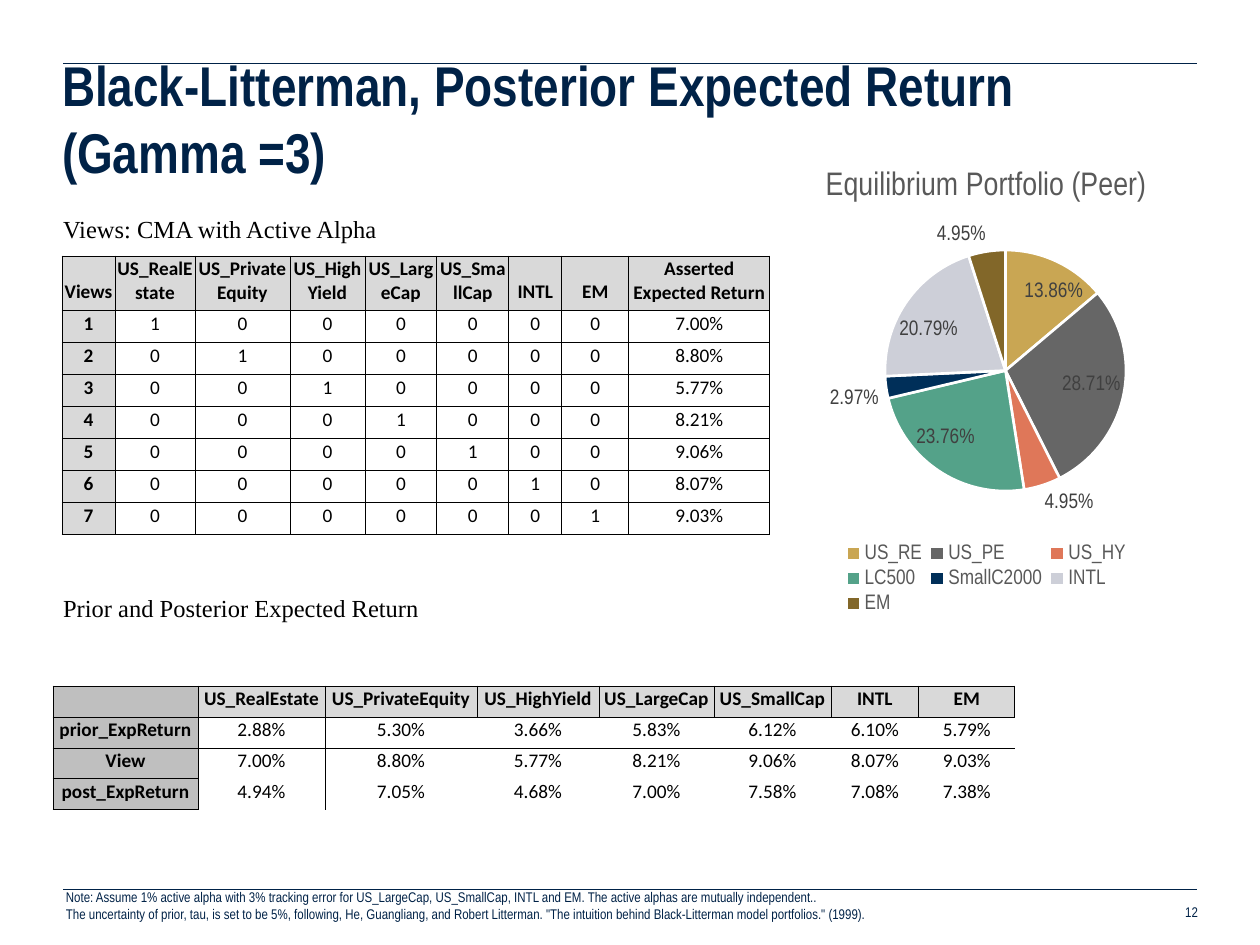
from lxml.etree import SubElement
from pptx import Presentation
from pptx.chart.data import CategoryChartData
from pptx.dml.color import RGBColor
from pptx.enum.chart import XL_CHART_TYPE, XL_LABEL_POSITION, XL_LEGEND_POSITION
from pptx.enum.shapes import MSO_CONNECTOR
from pptx.enum.text import MSO_ANCHOR, MSO_AUTO_SIZE, PP_ALIGN
from pptx.oxml.ns import qn
from pptx.util import Emu, Pt

NAVY = RGBColor(0x00, 0x22, 0x47)
BLACK = RGBColor(0x00, 0x00, 0x00)
WHITE = RGBColor(0xFF, 0xFF, 0xFF)
LIGHT_GRAY = RGBColor(0xD9, 0xD9, 0xD9)
MID_GRAY = RGBColor(0xBF, 0xBF, 0xBF)
LABEL_GRAY = RGBColor(0x40, 0x40, 0x40)
TEXT_GRAY = RGBColor(0x59, 0x59, 0x59)

NARROW, SERIF, SANS = "Arial Narrow", "Times New Roman", "Calibri"
NO_STYLE = "{2D5ABB26-0587-4C30-8999-92F81FD0307C}"

ASSETS = ["US_RealEstate", "US_PrivateEquity", "US_HighYield", "US_LargeCap",
          "US_SmallCap", "INTL", "EM"]
VIEW_RETURNS = ["7.00%", "8.80%", "5.77%", "8.21%", "9.06%", "8.07%", "9.03%"]
RETURN_ROWS = [
    [""] + ASSETS,
    ["prior_ExpReturn", "2.88%", "5.30%", "3.66%", "5.83%", "6.12%", "6.10%", "5.79%"],
    ["View"] + VIEW_RETURNS,
    ["post_ExpReturn", "4.94%", "7.05%", "4.68%", "7.00%", "7.58%", "7.08%", "7.38%"],
]
PORTFOLIO = [
    ("US_RE", 0.1386, RGBColor(0xC9, 0xA6, 0x53)),
    ("US_PE", 0.2871, RGBColor(0x66, 0x66, 0x66)),
    ("US_HY", 0.0495, RGBColor(0xDF, 0x77, 0x59)),
    ("LC500", 0.2376, RGBColor(0x54, 0xA2, 0x89)),
    ("SmallC2000", 0.0297, RGBColor(0x00, 0x2F, 0x59)),
    ("INTL", 0.2079, RGBColor(0xCD, 0xCF, 0xD8)),
    ("EM", 0.0495, RGBColor(0x82, 0x67, 0x29)),
]
NOTES = [
    "Note: Assume 1% active alpha with 3% tracking error for US_LargeCap, US_SmallCap, "
    "INTL and EM. The active alphas are mutually independent..",
    "The uncertainty of prior, tau, is set to be 5%, following, He, Guangliang, and Robert "
    "Litterman. \"The intuition behind Black-Litterman model portfolios.\" (1999).",
]


def px(n):
    return Emu(round(n * 914400 / 126))


def set_font(font, name, size, color, bold=False):
    font.name, font.size, font.bold = name, Pt(size), bold
    font.color.rgb = color


def add_run(p, text, *style):
    r = p.add_run()
    r.text = text
    set_font(r.font, *style)


def set_margins(tf, left, right):
    tf.margin_left, tf.margin_right = px(left), px(right)
    tf.margin_top = tf.margin_bottom = px(6)


def add_rule(s, y):
    line = s.shapes.add_connector(MSO_CONNECTOR.STRAIGHT, px(63), px(y), px(1197), px(y))
    line.line.color.rgb = NAVY
    line.line.width = Pt(0.5)
    SubElement(line._element.spPr, qn("a:effectLst"))


def set_title(s, text):
    title = s.shapes.title
    title.left, title.top, title.width, title.height = map(px, (62, 65, 1135, 105))
    tf = title.text_frame
    tf.auto_size = MSO_AUTO_SIZE.NONE
    tf.vertical_anchor = MSO_ANCHOR.MIDDLE
    set_margins(tf, 0, 13)
    p = tf.paragraphs[0]
    p.alignment = PP_ALIGN.LEFT
    add_run(p, text, NARROW, 32, NAVY, True)


def add_text(s, box, lines, style, align=PP_ALIGN.LEFT, margins=(13, 13),
             anchor=MSO_ANCHOR.TOP, gap=0):
    """Add a text box with one paragraph per line, gap points apart."""
    tf = s.shapes.add_textbox(*map(px, box)).text_frame
    tf.word_wrap = True
    tf.vertical_anchor = anchor
    set_margins(tf, *margins)
    for i, line in enumerate(lines):
        p = tf.add_paragraph() if i else tf.paragraphs[0]
        p.alignment = align
        if i and gap:
            p.space_before = Pt(gap)
        add_run(p, line, *style)


def set_borders(cell, sides):
    tcPr = cell._tc.get_or_add_tcPr()
    for side in sides:
        ln = SubElement(tcPr, qn(f"a:ln{side}"), w=str(Pt(0.5)))
        fill = SubElement(ln, qn("a:solidFill"))
        SubElement(fill, qn("a:srgbClr"), val=str(BLACK))


def fill_cell(cell, text, bold, fill, sides):
    set_borders(cell, sides)
    if fill is None:
        cell.fill.background()
    else:
        cell.fill.solid()
        cell.fill.fore_color.rgb = fill
    cell.margin_left = cell.margin_right = cell.margin_top = px(1)
    cell.margin_bottom = px(6)
    cell.vertical_anchor = MSO_ANCHOR.BOTTOM
    p = cell.text_frame.paragraphs[0]
    p.alignment = PP_ALIGN.CENTER
    if text:
        add_run(p, text, SANS, 11, BLACK, bold)
    else:
        SubElement(p._p, qn("a:endParaRPr"), sz="1100")


def add_grid(s, left, top, widths, heights, rows, side_fill, body_grid):
    """Add a table with a header row and column; body_grid rules the body cells too."""
    frame = s.shapes.add_table(len(rows), len(widths), px(left), px(top),
                               px(sum(widths)), px(sum(heights)))
    table = frame.table
    table.first_row = table.horz_banding = False
    table._tbl.tblPr.find(qn("a:tableStyleId")).text = NO_STYLE
    for column, width in zip(table.columns, widths):
        column.width = px(width)
    for row, height in zip(table.rows, heights):
        row.height = px(height)
    for i, row in enumerate(rows):
        for j, text in enumerate(row):
            header = i == 0 or j == 0
            fill = side_fill if j == 0 else LIGHT_GRAY if i == 0 else None
            sides = "LRTB" if header or body_grid else "L" * (j == 1) + "T" * (i == 1)
            fill_cell(table.cell(i, j), text, header, fill, sides)


def set_layout(parent, before, x, y, w, h, inner=False):
    """Place a chart part by fractions of the chart area."""
    for old in parent.findall(qn("c:layout")):
        parent.remove(old)
    layout = SubElement(parent, qn("c:layout"))
    manual = SubElement(layout, qn("c:manualLayout"))
    if inner:
        SubElement(manual, qn("c:layoutTarget"), val="inner")
    for key, val in (("xMode", "edge"), ("yMode", "edge"), ("x", x), ("y", y), ("w", w), ("h", h)):
        SubElement(manual, qn(f"c:{key}"), val=str(val))
    parent.find(qn(before)).addprevious(layout)


def add_pie(s):
    names, weights, colors = zip(*PORTFOLIO)
    data = CategoryChartData(number_format="0.00%")
    data.categories = names
    data.add_series("Series 1", weights)
    chart = s.shapes.add_chart(XL_CHART_TYPE.PIE, *map(px, (775, 146, 423, 473)), data).chart
    set_font(chart.font, NARROW, 10, BLACK)
    chart.has_title = True
    add_run(chart.chart_title.text_frame.paragraphs[0], "Equilibrium Portfolio (Peer)",
            NARROW, 18.6, TEXT_GRAY)
    chart.chart_title.include_in_layout = False

    chart.has_legend = True
    legend = chart.legend
    legend.position = XL_LEGEND_POSITION.BOTTOM
    legend.include_in_layout = False
    set_font(legend.font, NARROW, 12, TEXT_GRAY)
    set_layout(legend._element, "c:overlay", 0.15, 0.83, 0.7, 0.17)

    plot = chart.plots[0]
    plot.vary_by_categories = True
    set_layout(chart._chartSpace.chart.plotArea, "c:pieChart", 0.26, 0.22, 0.57, 0.51, True)
    for i, color in enumerate(colors):
        fmt = plot.series[0].points[i].format
        fmt.fill.solid()
        fmt.fill.fore_color.rgb = color
        fmt.line.color.rgb = WHITE
        fmt.line.width = Pt(1.5)
    labels = plot.series[0].data_labels
    labels.show_value = True
    labels.show_percentage = False
    labels.number_format, labels.number_format_is_linked = "0.00%", False
    labels.position = XL_LABEL_POSITION.BEST_FIT
    set_font(labels.font, NARROW, 12, LABEL_GRAY)


def main():
    prs = Presentation()
    prs.slide_width, prs.slide_height = px(1260), px(945)
    s = prs.slides.add_slide(prs.slide_layouts[5])
    for y in (63, 889):
        add_rule(s, y)
    set_title(s, "Black-Litterman, Posterior Expected Return (Gamma =3)")
    add_text(s, (63, 208, 700, 420),
             ["Views: CMA with Active Alpha", "Prior and Posterior Expected Return"],
             (SERIF, 14, BLACK), margins=(0, 13), gap=200)
    add_text(s, (901, 895, 297, 34), ["12"], (NARROW, 8, NAVY), PP_ALIGN.RIGHT, (13, 0),
             MSO_ANCHOR.MIDDLE)
    add_text(s, (53, 883, 1144, 58), NOTES, (NARROW, 8, NAVY), PP_ALIGN.JUSTIFY)
    add_pie(s)

    views = [["Views"] + ASSETS + ["Asserted Expected Return"]]
    for i, view_return in enumerate(VIEW_RETURNS):
        picks = [str(int(i == j)) for j in range(len(ASSETS))]
        views.append([str(i + 1)] + picks + [view_return])
    add_grid(s, 62, 256, [53, 80, 95, 75, 72, 72, 53, 67, 141], [54] + [32] * 7,
             views, LIGHT_GRAY, True)
    add_grid(s, 53, 686, [145, 127, 152, 122, 115, 117, 88, 96], [31] * 4,
             RETURN_ROWS, MID_GRAY, False)
    prs.save("out.pptx")


if __name__ == "__main__":
    main()
